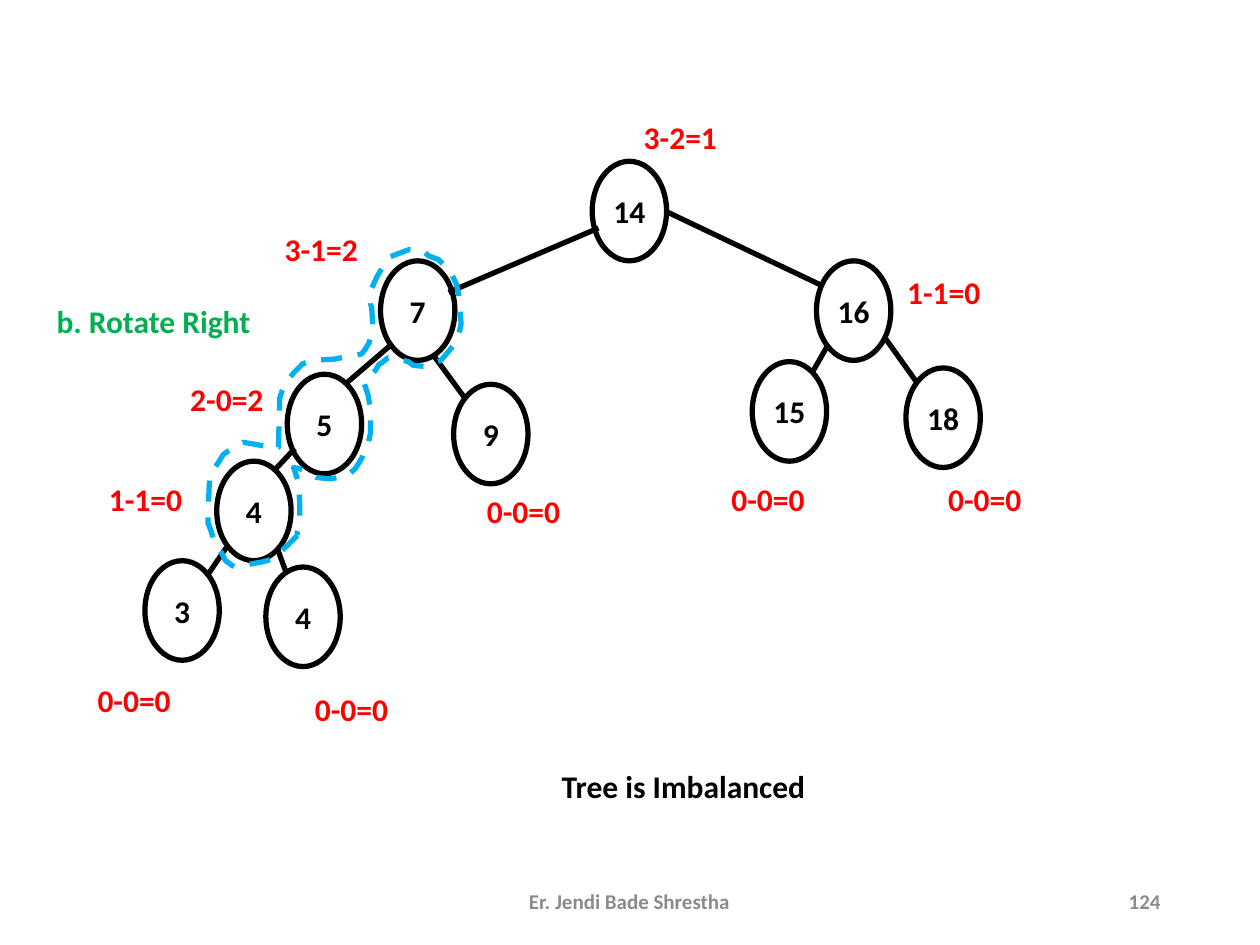
"""Build the slide of an AVL tree that needs a right rotation at node 7."""
from lxml.etree import SubElement
from pptx import Presentation
from pptx.dml.color import RGBColor
from pptx.enum.dml import MSO_LINE
from pptx.enum.shapes import MSO_CONNECTOR, MSO_SHAPE
from pptx.enum.text import MSO_ANCHOR, MSO_AUTO_SIZE, PP_ALIGN as Align
from pptx.oxml.ns import qn
from pptx.util import Inches, Pt

COLORS = {"ink": "000000", "paper": "FFFFFF", "balance": "FF0000",
          "step": "00B050", "rotation": "00B0F0", "footer": "8B8B8B"}
COLUMNS, ROWS = 100, 75
NODE_WIDTH, NODE_HEIGHT = 5.9, 7.9

NODES = [("14", 47, 12.8), ("16", 64.8, 20.7), ("7", 30.2, 20.7),
         ("5", 22.8, 29.7), ("9", 36, 30.5), ("18", 71.9, 29.2),
         ("4", 17.2, 36.6), ("4", 21.1, 45), ("15", 59.7, 28.7),
         ("3", 11.5, 44.5)]

EDGES = [((52.9, 16.8), (65.1, 22.6)), ((47.5, 18.1), (35.6, 23.2)),
         ((31, 27.4), (27.5, 30.4)), ((34.4, 28.2), (36.9, 31.6)),
         ((70.3, 26.9), (72.8, 30.4)), ((65.7, 27.4), (64.5, 29.5)),
         ((23.4, 35.6), (21.8, 37.3)), ((22, 43.5), (22.7, 45.4)),
         ((18, 43.4), (16.5, 45.6))]

BALANCES = [("3-2=1", 49.8, 8.9, 8.4), ("1-1=0", 70.7, 21.2, 8.4),
            ("3-1=2", 20.2, 17.8, 10.6), ("2-0=2", 10.4, 29.7, 15.2),
            ("0-0=0", 35.4, 38.6, 12.3), ("0-0=0", 72.1, 37.6, 12.1),
            ("0-0=0", 3.3, 53.6, 14.7), ("1-1=0", 5.2, 37.6, 12.7),
            ("0-0=0", 54.9, 37.6, 12.1), ("0-0=0", 18.6, 54.3, 18.6)]

ROTATION_OUTLINE = [
    (23.6, 42.5), (22.7, 43.4), (21.9, 44.1), (21.7, 44.3), (21.2, 44.5),
    (20.8, 44.6), (19.7, 44.8), (18.6, 45), (17.9, 44.5), (17.5, 43.7),
    (17.2, 43.3), (17, 42.9), (16.7, 42), (16.5, 41.5), (16.6, 38.6),
    (16.7, 37.7), (17, 37.2), (17.4, 36.6), (17.7, 36.1), (18.1, 35.8),
    (18.6, 35.5), (19.3, 35.1), (21, 35.4), (21.4, 35.6), (22.1, 35.5),
    (22.2, 31.6), (22.4, 31), (22.6, 30.5), (23.3, 29.6), (24, 28.9),
    (24.7, 28.6), (26.6, 28.5), (27.5, 28.3), (28.7, 28.1), (29, 27.7),
    (29.3, 27.2), (29.6, 26), (29.5, 24.4), (29.4, 24.1), (29.5, 22.9),
    (29.9, 22), (30.2, 21.5), (30.6, 20.9), (30.9, 20.4), (31.7, 20.1),
    (32.5, 19.8), (33.6, 19.9), (34, 20.3), (34.8, 20.6), (35.2, 21),
    (35.6, 21.5), (35.9, 21.9), (36.2, 22.5), (36.4, 23.3), (36.5, 24.5),
    (36.6, 25.7), (36.4, 26.6), (36, 27.4), (35.6, 27.9), (35, 28.6),
    (34.5, 28.8), (33.9, 29.1), (32.8, 29), (32.4, 28.7), (31.6, 28.5),
    (30.8, 28.4), (30.3, 28.8), (30.1, 28.9), (29.8, 29.4), (29.4, 29.8),
    (28.9, 30.4), (29.2, 31.3), (29.4, 32.4), (29.4, 34.4), (29.2, 35.3),
    (28.9, 35.9), (28.7, 36.4), (28.2, 37.2), (27.5, 37.8), (26.9, 37.9),
    (26.2, 38), (25.1, 37.9), (24.7, 37.7), (24.2, 37.3), (23.3, 37.1),
    (23.4, 37.4), (23.7, 38.3), (23.8, 40.2), (23.8, 41.6), (23.6, 42.2)]


class TreeSlide:
    """Hold the tree's style and draw its parts on a grid."""

    def __init__(self, deck):
        self.font, self.weight = "Calibri", Pt(3)
        self.column = deck.slide_width / COLUMNS
        self.row = deck.slide_height / ROWS
        blank = deck.slide_layouts[6]
        self.shapes = deck.slides.add_slide(blank).shapes

    def place(self, x, y):
        return round(x * self.column), round(y * self.row)

    def color(self, name):
        return RGBColor.from_string(COLORS[name])

    def stroke(self, line, color="ink"):
        line.color.rgb = self.color(color)
        line.width = self.weight

    def letter(self, frame, wording, color, align, size):
        frame.text = wording
        paragraph = frame.paragraphs[0]
        paragraph.alignment = align
        font = paragraph.runs[0].font
        font.name, font.size, font.bold = self.font, Pt(size), True
        font.color.rgb = self.color(color)

    def node(self, key, x, y):
        oval = self.shapes.add_shape(MSO_SHAPE.OVAL, *self.place(x, y),
                                     *self.place(NODE_WIDTH, NODE_HEIGHT))
        oval.shadow.inherit = False
        oval.fill.solid()
        oval.fill.fore_color.rgb = self.color("paper")
        self.stroke(oval.line)
        frame = oval.text_frame
        frame.margin_left = frame.margin_right = 0
        frame.vertical_anchor = MSO_ANCHOR.MIDDLE
        self.letter(frame, key, "ink", Align.CENTER, 18)

    def edge(self, parent, child):
        branch = self.shapes.add_connector(
            MSO_CONNECTOR.STRAIGHT, *self.place(*parent), *self.place(*child))
        self.stroke(branch.line)
        SubElement(branch._element.spPr, qn("a:effectLst"))

    def label(self, wording, x, y, width, color, align=Align.CENTER, size=18):
        box = self.shapes.add_textbox(*self.place(x, y), *self.place(width, 4))
        frame = box.text_frame
        frame.word_wrap = True
        frame.auto_size = MSO_AUTO_SIZE.SHAPE_TO_FIT_TEXT
        self.letter(frame, wording, color, align, size)
        return frame

    def footer(self, wording, x, width, align):
        frame = self.label(wording, x, 69.5, width, "footer", align, 12)
        frame.auto_size = MSO_AUTO_SIZE.NONE
        frame.vertical_anchor = MSO_ANCHOR.MIDDLE

    def outline(self, corners):
        start, *rest = [self.place(*corner) for corner in corners]
        builder = self.shapes.build_freeform(*start)
        builder.add_line_segments(rest, close=True)
        ring = builder.convert_to_shape()
        ring.shadow.inherit = False
        ring.fill.background()
        self.stroke(ring.line, "rotation")
        ring.line.dash_style = MSO_LINE.DASH


def main():
    deck = Presentation()
    deck.slide_width, deck.slide_height = Inches(10), Inches(7.5)
    tree = TreeSlide(deck)
    for node in NODES:
        tree.node(*node)
    for edge in EDGES:
        tree.edge(*edge)
    for balance in BALANCES:
        tree.label(*balance, "balance")
    tree.label("Tree is Imbalanced", 43.6, 60.4, 32.2, "ink", Align.LEFT)
    tree.footer("Er. Jendi Bade Shrestha", 33.1, 33.7, Align.CENTER)
    tree.footer("124", 70.6, 22.5, Align.RIGHT)
    tree.outline(ROTATION_OUTLINE)
    tree.label("b. Rotate Right", 3.5, 23.5, 19.8, "step", Align.LEFT)
    deck.save("out.pptx")


if __name__ == "__main__":
    main()
